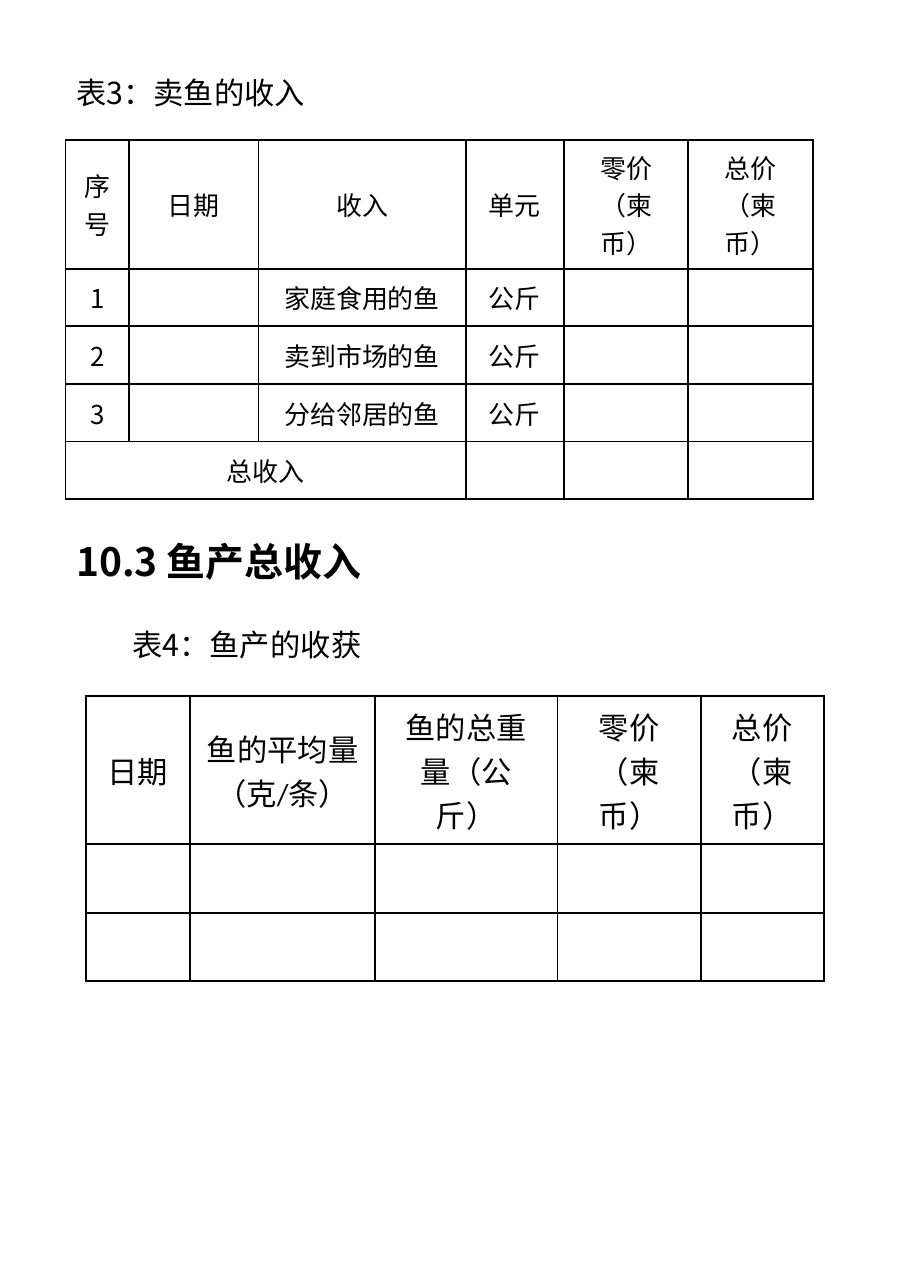
from lxml.etree import SubElement
from pptx import Presentation
from pptx.dml.color import RGBColor
from pptx.enum.shapes import MSO_SHAPE
from pptx.enum.text import MSO_ANCHOR, PP_ALIGN
from pptx.oxml.ns import qn
from pptx.util import Inches, Pt

COLORS = {"ink": "000000", "paper": "FFFFFF"}
CJK, LATIN, PRICE = "Noto Sans CJK SC", "Calibri", "Arial"

# A cell is a list of paragraphs, each a list of (text, font) runs.
UNIT_PRICE = [[("零价（柬币）", PRICE)]]
TOTAL_PRICE = [[("总价（", LATIN), ("柬币）", PRICE)]]
FISH_USES = ["家庭食用的鱼", "卖到市场的鱼", "分给邻居的鱼"]


def plain(text, font=LATIN):
    """Return cell content of one paragraph with one run."""
    return [[(text, font)]]


def paint(fill, color):
    fill.solid()
    fill.fore_color.rgb = RGBColor.from_string(COLORS[color])


def add_run(paragraph, text, font, size, bold=False):
    run = paragraph.add_run()
    run.text = text
    run.font.name = font
    run.font.size = Pt(size)
    run.font.bold = bold
    run.font.color.rgb = RGBColor.from_string(COLORS["ink"])
    latin = run.font._element.find(qn("a:latin"))
    east_asian = latin.makeelement(qn("a:ea"), {"typeface": CJK})
    latin.addnext(east_asian)


def add_heading(slide, text, left, top, width, height, size=14, bold=False):
    heading = slide.shapes.add_shape(
        MSO_SHAPE.RECTANGLE, Inches(left), Inches(top), Inches(width), Inches(height))
    heading.shadow.inherit = False
    paint(heading.fill, "paper")
    heading.line.fill.background()
    frame = heading.text_frame
    frame.word_wrap = True
    frame.vertical_anchor = MSO_ANCHOR.MIDDLE
    frame.paragraphs[0].alignment = PP_ALIGN.LEFT
    add_run(frame.paragraphs[0], text, CJK, size, bold)


def add_borders(cell):
    properties = cell._tc.get_or_add_tcPr()
    for side in ("lnL", "lnR", "lnT", "lnB"):
        border = SubElement(properties, qn(f"a:{side}"), w=str(Pt(1)))
        fill = SubElement(border, qn("a:solidFill"))
        SubElement(fill, qn("a:srgbClr"), val=COLORS["ink"])


def fill_cell(cell, content, size):
    add_borders(cell)
    paint(cell.fill, "paper")
    cell.vertical_anchor = MSO_ANCHOR.MIDDLE
    frame = cell.text_frame
    if not content:
        # Keeps an empty cell as low as the text rows.
        SubElement(frame.paragraphs[0]._p, qn("a:endParaRPr"), sz=str(size * 100))
        return
    for index, runs in enumerate(content):
        paragraph = frame.add_paragraph() if index else frame.paragraphs[0]
        paragraph.alignment = PP_ALIGN.CENTER
        for text, font in runs:
            add_run(paragraph, text, font, size)


def add_grid(slide, left, top, widths, heights, rows, size):
    table = slide.shapes.add_table(
        len(rows), len(widths), Inches(left), Inches(top),
        Inches(sum(widths)), Inches(sum(heights))).table
    table.first_row = False
    table.horz_banding = False
    for column, width in zip(table.columns, widths):
        column.width = Inches(width)
    for row, height in zip(table.rows, heights):
        row.height = Inches(height)
    for row, contents in zip(table.rows, rows):
        for cell, content in zip(row.cells, contents):
            fill_cell(cell, content, size)
    return table


def add_income_table(slide):
    header = [plain(text) for text in ("序号", "日期", "收入", "单元")]
    rows = [header + [UNIT_PRICE, TOTAL_PRICE]]
    for number, use in enumerate(FISH_USES, start=1):
        rows.append([plain(str(number), CJK), None, plain(use), plain("公斤"), None, None])
    rows.append([plain("总收入")] + [None] * 5)
    table = add_grid(slide, 0.42, 0.9, [0.41, 0.83, 1.33, 0.63, 0.8, 0.8],
                     [0.64] + [0.37] * 4, rows, 12)
    table.cell(4, 0).merge(table.cell(4, 2))


def add_harvest_table(slide):
    average_weight = [[("鱼的平均量", LATIN)], [("（克/条）", LATIN)]]
    header = [plain("日期"), average_weight, plain("鱼的总重量（公斤）"),
              UNIT_PRICE, TOTAL_PRICE]
    add_grid(slide, 0.55, 4.47, [0.67, 1.19, 1.17, 0.92, 0.79],
             [0.44] * 3, [header, [None] * 5, [None] * 5], 14)


def main():
    presentation = Presentation()
    presentation.slide_width = Inches(5.83)
    presentation.slide_height = Inches(8.27)
    slide = presentation.slides.add_slide(presentation.slide_layouts[6])
    add_income_table(slide)
    add_harvest_table(slide)
    add_heading(slide, "10.3 鱼产总收入", 0.39, 3.44, 2.45, 0.33, size=18, bold=True)
    add_heading(slide, "表4：鱼产的收获", 0.75, 4.01, 2.78, 0.25)
    add_heading(slide, "表3：卖鱼的收入", 0.39, 0.47, 2.78, 0.25)
    presentation.save("out.pptx")


if __name__ == "__main__":
    main()
